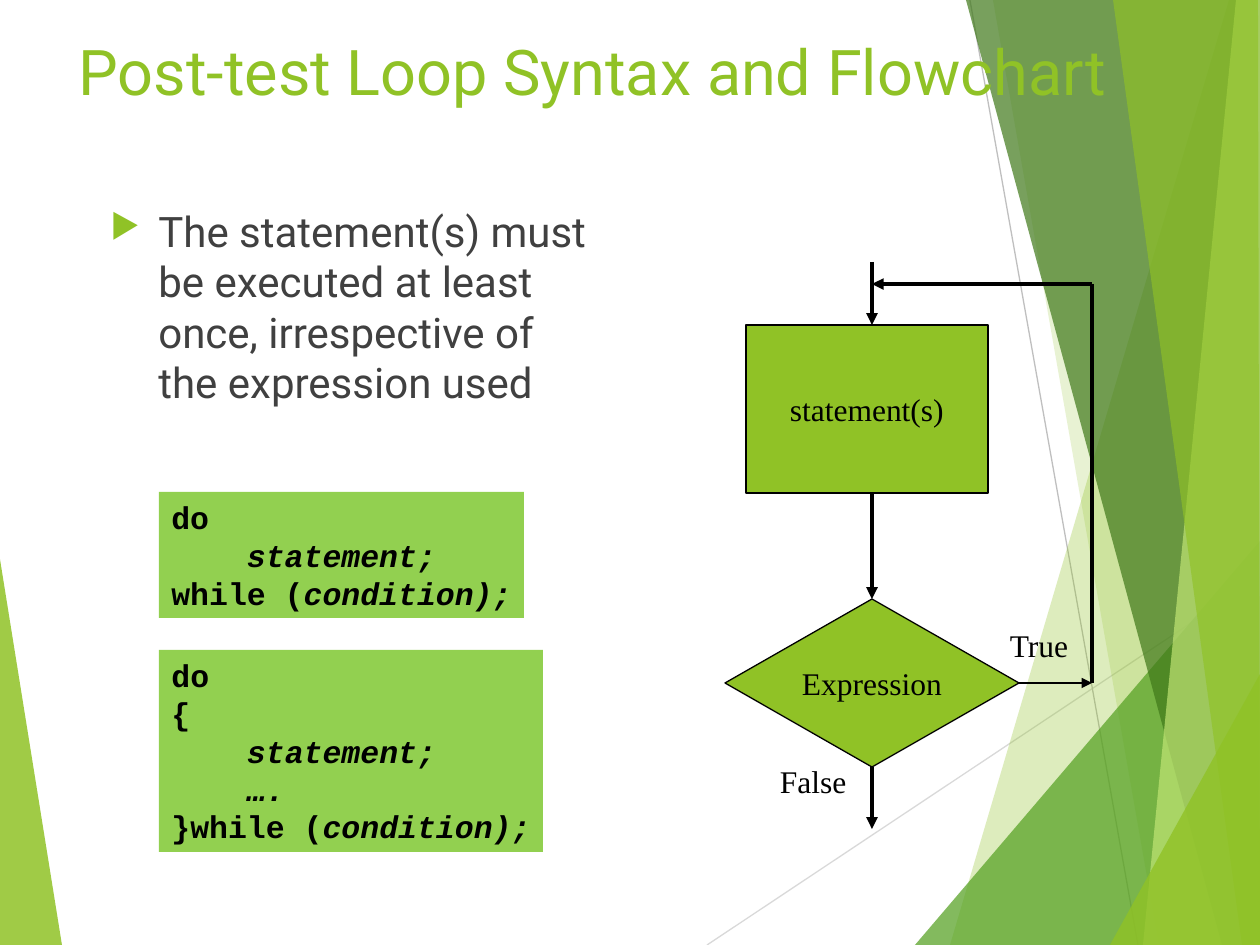
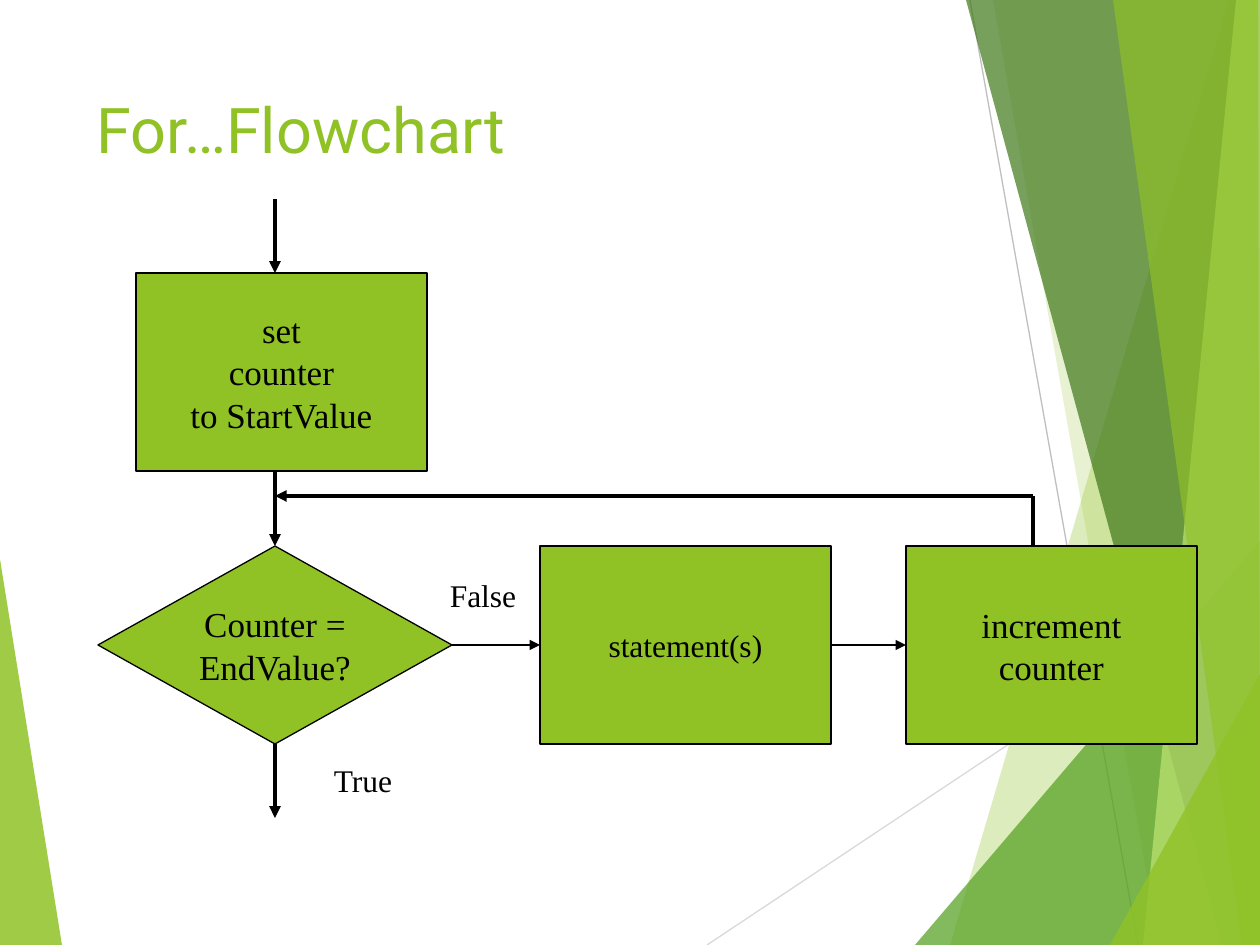
from lxml.etree import SubElement
from pptx import Presentation
from pptx.dml.color import RGBColor
from pptx.enum.shapes import MSO_CONNECTOR, MSO_SHAPE
from pptx.enum.text import MSO_ANCHOR, PP_ALIGN
from pptx.oxml.ns import qn
from pptx.util import Emu, Pt

EMU_PER_PX = 914400 / 126
WIDTH, HEIGHT = 1260, 945
TOP_RIGHT, BOTTOM_RIGHT = (WIDTH, 0), (WIDTH, HEIGHT)

GREEN = "90C226"
CODE_GREEN = "92D050"
BLACK = "000000"
BODY_GRAY = "404040"
SANS, SERIF, MONO = "Roboto", "Times New Roman", "Courier New"
TOP, LEFT, BOTTOM, RIGHT = range(4)

LEFT_FACET = ([(0, 559), (62, HEIGHT), (0, HEIGHT)], GREEN, 85)
RIGHT_FACETS = [
    ([(1229, 0), (950, HEIGHT), BOTTOM_RIGHT, TOP_RIGHT], GREEN, 30),
    ([(993, 0), (1159, HEIGHT), BOTTOM_RIGHT, TOP_RIGHT], GREEN, 20),
    ([(915, HEIGHT), (WIDTH, 541), BOTTOM_RIGHT], "54A021", 72),
    ([(966, 0), (1222, HEIGHT), BOTTOM_RIGHT, TOP_RIGHT], "3F7819", 70),
    ([(1236, 0), (1143, HEIGHT), BOTTOM_RIGHT, TOP_RIGHT], "C0E474", 70),
    ([(1113, 0), (1242, HEIGHT), BOTTOM_RIGHT, (1258, 0)], GREEN, 65),
    ([(1110, HEIGHT), (WIDTH, 674), BOTTOM_RIGHT], GREEN, 80),
]


def px(length):
    return Emu(round(length * EMU_PER_PX))


def color(hex_string):
    return RGBColor.from_string(hex_string)


def set_fill(shape, hex_string, opacity=100):
    shape.shadow.inherit = False
    shape.fill.solid()
    shape.fill.fore_color.rgb = color(hex_string)
    if opacity < 100:
        rgb = shape.fill._xPr.find(qn("a:solidFill")).find(qn("a:srgbClr"))
        SubElement(rgb, qn("a:alpha"), val=str(opacity * 1000))


def format_runs(paragraph, font_name, size, hex_string, bold=False):
    for run in paragraph.runs:
        run.font.name = font_name
        run.font.size = Pt(size)
        run.font.color.rgb = color(hex_string)
        run.font.bold = bold


def add_text(slide, box, text, font_name, size, hex_string, wrap=True):
    shape = slide.shapes.add_textbox(*map(px, box))
    shape.text_frame.word_wrap = wrap
    paragraph = shape.text_frame.paragraphs[0]
    paragraph.text = text
    format_runs(paragraph, font_name, size, hex_string)
    return paragraph


def add_title(slide, box, text):
    add_text(slide, box, text, SANS, 36, GREEN)


def add_label(slide, box, text):
    paragraph = add_text(slide, box, text, SERIF, 18, BLACK, wrap=False)
    paragraph.alignment = PP_ALIGN.CENTER


def add_bullet(slide, box, text):
    paragraph = add_text(slide, box, text, SANS, 24, BODY_GRAY)
    properties = paragraph._p.get_or_add_pPr()
    properties.set("marL", str(px(48)))
    properties.set("indent", str(px(-48)))
    bullet_color = SubElement(properties, qn("a:buClr"))
    SubElement(bullet_color, qn("a:srgbClr"), val=GREEN)
    SubElement(properties, qn("a:buSzPct"), val="80000")
    SubElement(properties, qn("a:buChar"), char="▶")


def add_code(slide, box, lines):
    shape = slide.shapes.add_shape(MSO_SHAPE.RECTANGLE, *map(px, box))
    set_fill(shape, CODE_GREEN)
    shape.line.fill.background()
    text_frame = shape.text_frame
    text_frame.word_wrap = False
    text_frame.vertical_anchor = MSO_ANCHOR.TOP
    text_frame.text = "\n".join(keyword for keyword, variable in lines)
    for paragraph, (keyword, variable) in zip(text_frame.paragraphs, lines):
        paragraph.alignment = PP_ALIGN.LEFT
        if variable:
            run = paragraph.add_run()
            run.text = variable
            run.font.italic = True
        format_runs(paragraph, MONO, 18, BLACK, bold=True)


def add_node(slide, preset, box, text, size=18):
    shape = slide.shapes.add_shape(preset, *map(px, box))
    set_fill(shape, GREEN)
    shape.line.color.rgb = color(BLACK)
    shape.line.width = Pt(0.75)
    text_frame = shape.text_frame
    text_frame.word_wrap = False
    text_frame.vertical_anchor = MSO_ANCHOR.MIDDLE
    text_frame.text = text
    for paragraph in text_frame.paragraphs:
        paragraph.alignment = PP_ALIGN.CENTER
        format_runs(paragraph, SERIF, size, BLACK)
    return shape


def add_process(slide, box, text, size=18):
    return add_node(slide, MSO_SHAPE.FLOWCHART_PROCESS, box, text, size)


def add_decision(slide, box, text, size=18):
    return add_node(slide, MSO_SHAPE.FLOWCHART_DECISION, box, text, size)


def add_line(slide, start, end, width=2.25, hex_string=BLACK, arrow=False):
    start_joined, end_joined = (not isinstance(stop[0], int) for stop in (start, end))
    begin_point = (0, 0) if start_joined else start
    end_point = (0, 0) if end_joined else end
    connector = slide.shapes.add_connector(
        MSO_CONNECTOR.STRAIGHT, *map(px, begin_point + end_point))
    if start_joined:
        connector.begin_connect(*start)
    if end_joined:
        connector.end_connect(*end)
    connector.line.color.rgb = color(hex_string)
    connector.line.width = Pt(width)
    if arrow:
        SubElement(connector.line._get_or_add_ln(), qn("a:tailEnd"), type="triangle")
    SubElement(connector._element.spPr, qn("a:effectLst"))


def add_arrow(slide, start, end, width=2.25):
    add_line(slide, start, end, width, arrow=True)


def add_facet(slide, points, hex_string, opacity):
    builder = slide.shapes.build_freeform(*points[0], scale=EMU_PER_PX)
    builder.add_line_segments(points[1:])
    shape = builder.convert_to_shape()
    set_fill(shape, hex_string, opacity)
    shape.line.fill.background()


def add_facet_slide(presentation):
    slide = presentation.slides.add_slide(presentation.slide_layouts[6])
    add_facet(slide, *LEFT_FACET)
    add_line(slide, (707, HEIGHT), (WIDTH, 577), 0.75, "D9D9D9")
    add_line(slide, (970, 0), (1138, HEIGHT), 0.75, "BFBFBF")
    for facet in RIGHT_FACETS:
        add_facet(slide, *facet)
    return slide


def build_post_test_loop(presentation):
    slide = add_facet_slide(presentation)
    add_title(slide, (66, 26, 1131, 181), "Post-test Loop Syntax and Flowchart")
    add_bullet(slide, (98, 199, 1099, 660),
               "The statement(s) must\nbe executed at least\n"
               "once, irrespective of\nthe expression used")
    add_code(slide, (159, 492, 365, 126),
             [("do", ""), ("", "    statement;"), ("while (", "condition);")])
    add_code(slide, (159, 650, 384, 202),
             [("do", ""), ("{", ""), ("", "    statement;"), ("", "    ….") ,
              ("}while (", "condition);")])

    flow_x, loop_x, loop_y = 872, 1092, 284
    add_process(slide, (746, 325, 242, 168), "statement(s)")
    expression = add_decision(slide, (725, 599, 294, 168), "Expression")
    add_arrow(slide, (flow_x, 262), (flow_x, 325))
    add_arrow(slide, (flow_x, 493), (expression, TOP))
    add_arrow(slide, (expression, BOTTOM), (flow_x, 829))
    add_arrow(slide, (expression, RIGHT), (loop_x, 683), 1.5)
    add_line(slide, (loop_x, loop_y), (loop_x, 683))
    add_arrow(slide, (loop_x, loop_y), (flow_x, loop_y))
    add_label(slide, (767, 756, 92, 50), "False")
    add_label(slide, (997, 620, 84, 50), "True")


def build_for_flowchart(presentation):
    slide = add_facet_slide(presentation)
    add_title(slide, (84, 84, 874, 181), "For…Flowchart")

    flow_x, loop_x, loop_y = 275, 1033, 496
    row_top, node_width, node_height = 546, 291, 198
    add_process(slide, (136, 273, node_width, node_height),
                "set\ncounter\nto StartValue", 20)
    test = add_decision(slide, (98, row_top, 354, node_height),
                        "Counter =\nEndValue?", 20)
    statements = add_process(slide, (540, row_top, node_width, node_height),
                             "statement(s)")
    increment = add_process(slide, (906, row_top, node_width, node_height),
                            "increment\ncounter", 20)
    add_arrow(slide, (flow_x, 199), (flow_x, 273))
    add_arrow(slide, (flow_x, 471), (test, TOP))
    add_arrow(slide, (test, BOTTOM), (flow_x, 818))
    add_arrow(slide, (test, RIGHT), (statements, LEFT), 1.5)
    add_arrow(slide, (statements, RIGHT), (increment, LEFT), 1.5)
    add_line(slide, (loop_x, loop_y), (loop_x, row_top))
    add_arrow(slide, (loop_x, loop_y), (flow_x, loop_y))
    add_label(slide, (437, 570, 92, 50), "False")
    add_label(slide, (321, 755, 84, 50), "True")


def main():
    presentation = Presentation()
    presentation.slide_width = px(WIDTH)
    presentation.slide_height = px(HEIGHT)
    build_post_test_loop(presentation)
    build_for_flowchart(presentation)
    presentation.save("out.pptx")


if __name__ == "__main__":
    main()
